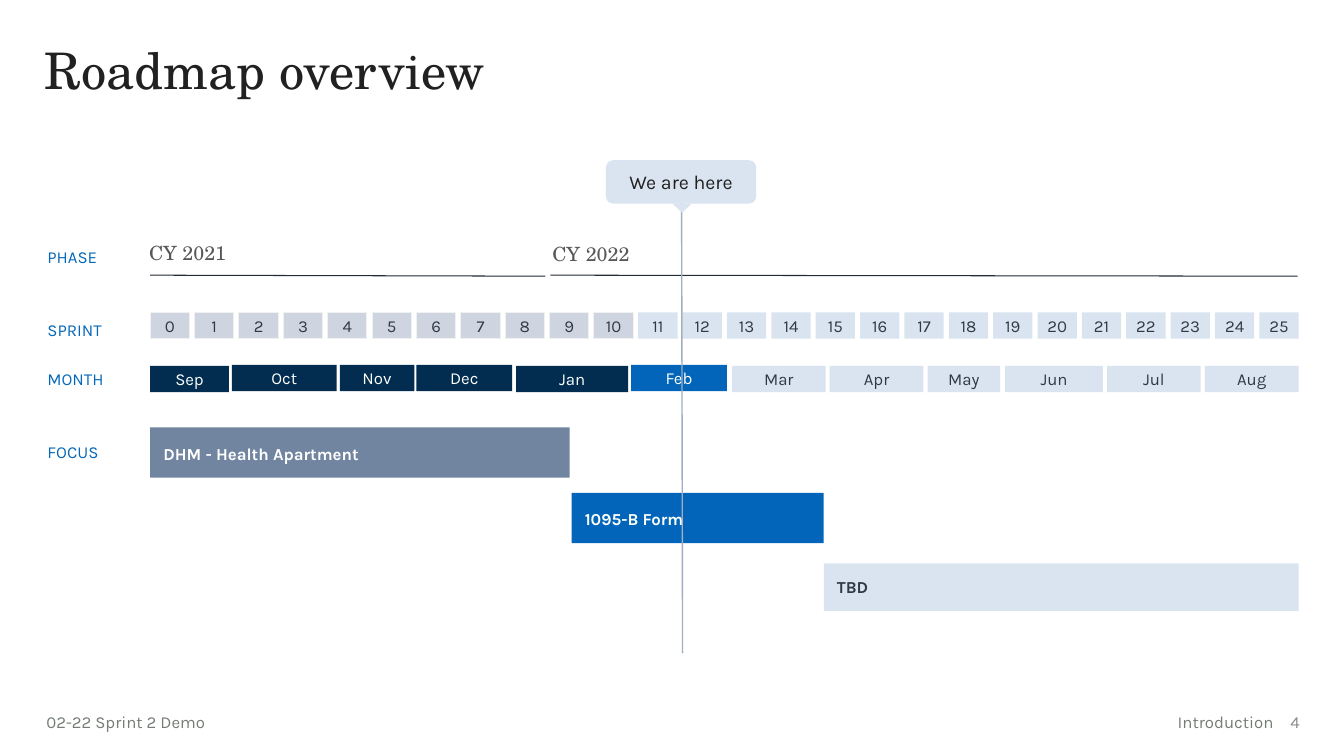
from lxml import etree
from pptx import Presentation, util as u
from pptx.dml.color import RGBColor
from pptx.enum import shapes, text
from pptx.oxml.ns import qn

SANS, SERIF = "Karla", "TeX Gyre Schola"
NAVY, BLUE, SLATE, GREY_BLUE, PALE = "022D50", "0365B9", "7185A0", "CED5E0", "DAE4F0"
DARK, WHITE, BLACK, LABEL = "303A46", "FDFFFD", "202120", "0467B8"
LEFT, CENTER, RIGHT = text.PP_ALIGN.LEFT, text.PP_ALIGN.CENTER, text.PP_ALIGN.RIGHT
TOP, MIDDLE = text.MSO_ANCHOR.TOP, text.MSO_ANCHOR.MIDDLE

TITLE = "Roadmap overview"
ROW_LABELS = [("PHASE", 2.45), ("SPRINT", 3.17), ("MONTH", 3.66), ("FOCUS", 4.38)]
# name, text left, text top, line start, line end
PHASES = [("CY 2021", 1.38, 2.34, 1.49, 5.41), ("CY 2022", 5.38, 2.35, 5.46, 12.87)]
SPRINT_COUNT, PAST_SPRINTS = 26, 11
SPRINT_LEFT, SPRINT_STEP = 1.49, 0.44
# name, left, top, width, fill, text colour
MONTHS = [
    ("Sep", 1.49, 3.63, 0.78, NAVY, WHITE),
    ("Oct", 2.3, 3.62, 1.04, NAVY, WHITE),
    ("Nov", 3.37, 3.62, 0.74, NAVY, WHITE),
    ("Dec", 4.13, 3.62, 0.95, NAVY, WHITE),
    ("Jan", 5.12, 3.63, 1.11, NAVY, WHITE),
    ("Feb", 6.26, 3.62, 0.95, BLUE, WHITE),
    ("Mar", 7.26, 3.63, 0.93, PALE, DARK),
    ("Apr", 8.23, 3.63, 0.93, PALE, DARK),
    ("May", 9.2, 3.63, 0.72, PALE, DARK),
    ("Jun", 9.97, 3.63, 0.97, PALE, DARK),
    ("Jul", 10.98, 3.63, 0.93, PALE, DARK),
    ("Aug", 11.95, 3.63, 0.93, PALE, DARK),
]
# name, box, fill, text colour, line spacing
FOCUS = [
    ("DHM - Health Apartment", (1.49, 4.24, 4.16, 0.5), SLATE, "FFFFFF", 1.15),
    ("1095-B Form", (5.67, 4.89, 2.5, 0.5), BLUE, WHITE, 1.15),
    ("TBD", (8.17, 5.59, 4.71, 0.47), PALE, DARK, 1.0),
]
# words, box, anchor, alignment, left inset, colour
FOOTERS = [
    ("4", (12.55, 6.96, 0.44, 0.4), MIDDLE, RIGHT, 0.1, "8A8A8A"),
    ("Introduction", (9.75, 7.01, 2.98, 0.3), TOP, RIGHT, 0.1, "747C74"),
    ("02-22 Sprint 2 Demo", (0.46, 7.01, 2.98, 0.3), TOP, LEFT, 0, "747C74"),
]


def rgb(value):
    return RGBColor.from_string(value)


def inches(values):
    return [u.Inches(value) for value in values]


def write(shape, words, color, size=12, font=SANS, bold=False, align=LEFT,
          anchor=TOP, insets=(0.1, 0.05, 0.1, 0.05), spacing=1.0):
    frame = shape.text_frame
    frame.word_wrap = True
    frame.auto_size = text.MSO_AUTO_SIZE.NONE
    frame.vertical_anchor = anchor
    (frame.margin_left, frame.margin_top,
     frame.margin_right, frame.margin_bottom) = inches(insets)
    frame.text = words
    paragraph = frame.paragraphs[0]
    paragraph.alignment = align
    paragraph.line_spacing = spacing
    paragraph.font.name = font
    paragraph.font.size = u.Pt(size)
    paragraph.font.bold = bold
    paragraph.font.color.rgb = rgb(color)


def add_label(slide, box, words, color, **style):
    write(slide.shapes.add_textbox(*inches(box)), words, color, **style)


def add_block(slide, box, fill, kind=shapes.MSO_SHAPE.RECTANGLE, line=None):
    shape = slide.shapes.add_shape(kind, *inches(box))
    shape.shadow.inherit = False
    shape.fill.solid()
    shape.fill.fore_color.rgb = rgb(fill)
    if line:
        shape.line.color.rgb = rgb(line)
        shape.line.width = u.Pt(0.75)
    else:
        shape.line.fill.background()
    return shape


def add_line(slide, ends, color, width):
    line = slide.shapes.add_connector(shapes.MSO_CONNECTOR.STRAIGHT, *inches(ends))
    line.line.color.rgb = rgb(color)
    line.line.width = u.Pt(width)
    etree.SubElement(line._element.spPr, qn("a:effectLst"))


def add_cell(slide, box, words, fill, color, line=None):
    """Add one centred cell of the sprint or month row."""
    write(add_block(slide, box, fill, line=line), words, color,
          align=CENTER, insets=[0.03] * 4)


def add_marker(slide):
    """Add the vertical line and callout for today's position."""
    add_line(slide, (6.76, 1.81, 6.77, 6.48), "A1AEBF", 1)
    callout = add_block(slide, (6.01, 1.59, 1.49, 0.43), PALE,
                        shapes.MSO_SHAPE.ROUNDED_RECTANGLE)
    write(callout, "We are here", BLACK, size=14, align=CENTER, anchor=MIDDLE)
    pointer = add_block(slide, (6.67, 2.02, 0.19, 0.09), PALE,
                        shapes.MSO_SHAPE.ISOSCELES_TRIANGLE)
    pointer.rotation = 180


def main():
    presentation = Presentation()
    presentation.slide_width = u.Inches(13.33)
    presentation.slide_height = u.Inches(7.5)
    slide = presentation.slides.add_slide(presentation.slide_layouts[5])

    title = slide.shapes.title
    title.left, title.top, title.width, title.height = inches((0.34, 0.41, 12.42, 0.82))
    write(title, TITLE, BLACK, size=36, font=SERIF, spacing=0.9)

    for words, box, anchor, align, inset, color in FOOTERS:
        add_label(slide, box, words, color, anchor=anchor, align=align,
                  insets=(inset, 0.05, 0.1, 0.05))
    for words, top in ROW_LABELS:
        add_label(slide, (0.47, top, 0.78, 0.2), words, LABEL, insets=[0] * 4)
    for words, left, top, start, end in PHASES:
        add_line(slide, (start, 2.73, end, 2.74), "232B34", 0.75)
        add_label(slide, (left, top, 3, 0.34), words, "565956", size=14, font=SERIF)

    for sprint in range(SPRINT_COUNT):
        past = sprint < PAST_SPRINTS
        box = (SPRINT_LEFT + sprint * SPRINT_STEP, 3.1, 0.39, 0.26)
        add_cell(slide, box, str(sprint), GREY_BLUE if past else PALE, DARK,
                 line="F0F1F0" if past else None)
    for words, left, top, width, fill, color in MONTHS:
        add_cell(slide, (left, top, width, 0.26), words, fill, color)
    for words, box, fill, color, spacing in FOCUS:
        write(add_block(slide, box, fill), words, color, bold=True,
              insets=[0.13] * 4, spacing=spacing)

    add_marker(slide)
    presentation.save("out.pptx")


if __name__ == "__main__":
    main()
